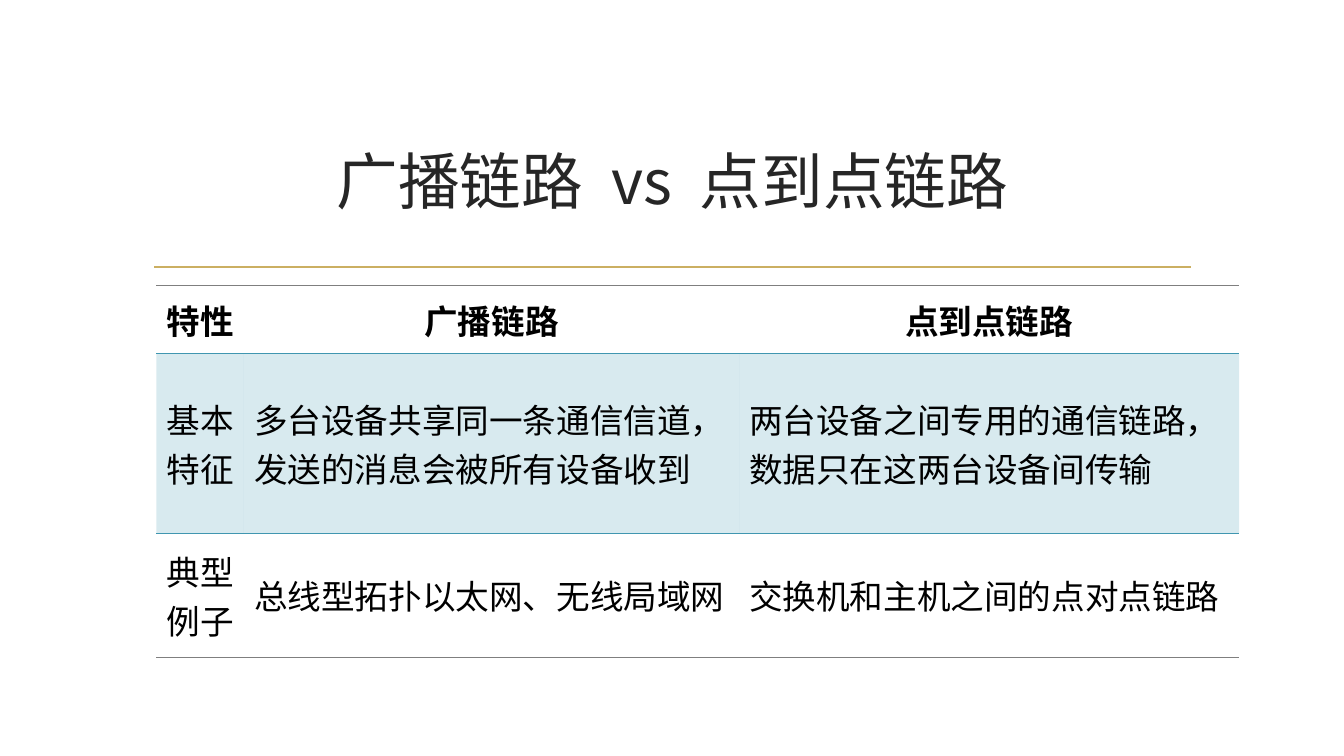
from lxml.etree import SubElement
from pptx import Presentation
from pptx.dml.color import RGBColor
from pptx.enum.shapes import MSO_CONNECTOR
from pptx.enum.text import MSO_ANCHOR, PP_ALIGN
from pptx.oxml.ns import qn
from pptx.util import Inches, Pt

COLORS = {
    "title": "262626",
    "text": "000000",
    "gold": "CBAF62",
    "teal": "4096B0",
    "gray": "7F7F7F",
}
CJK_FONT = "Noto Sans CJK SC"
LATIN_FONT = "Roboto"
PLAIN_TABLE_STYLE = "{2D5ABB26-0587-4C30-8999-92F81FD0307C}"
COLUMN_WIDTHS = [0.87, 4.91, 4.96]
ROW_HEIGHTS = [0.68, 1.78, 1.23]
LINK_ROWS = [
    ["特性", "广播链路", "点到点链路"],
    ["基本特征", "多台设备共享同一条通信信道，发送的消息会被所有设备收到",
     "两台设备之间专用的通信链路，数据只在这两台设备间传输"],
    ["典型例子", "总线型拓扑以太网、无线局域网", "交换机和主机之间的点对点链路"],
]
TITLE_RUNS = [("广播链路", 0), (" ", 10), ("vs", 0), (" ", 10), ("点到点链路", 0)]


class SlideBuilder:
    def __init__(self, slide):
        self.slide = slide

    def add_run(self, paragraph, text, size, color, font, bold=False, spacing=0):
        run = paragraph.add_run()
        run.text = text
        run.font.size = Pt(size)
        run.font.bold = bold
        run.font.name = font
        run.font.color.rgb = RGBColor.from_string(COLORS[color])
        properties = run.font._element
        SubElement(properties, qn("a:ea")).set("typeface", CJK_FONT)
        if spacing:
            properties.set("spc", str(spacing * 100))

    def add_line(self, left, top, right, bottom, color, width):
        line = self.slide.shapes.add_connector(
            MSO_CONNECTOR.STRAIGHT,
            Inches(left), Inches(top), Inches(right), Inches(bottom))
        line.line.color.rgb = RGBColor.from_string(COLORS[color])
        line.line.width = Pt(width)
        SubElement(line._element.spPr, qn("a:effectLst"))

    def add_title(self, left, top, width, height, runs):
        shape = self.slide.shapes.add_textbox(
            Inches(left), Inches(top), Inches(width), Inches(height))
        frame = shape.text_frame
        frame.word_wrap = True
        frame.vertical_anchor = MSO_ANCHOR.MIDDLE
        paragraph = frame.paragraphs[0]
        paragraph.alignment = PP_ALIGN.CENTER
        for text, spacing in runs:
            self.add_run(paragraph, text, 44, "title", CJK_FONT, spacing=spacing)

    def set_border(self, properties, side, color, width):
        border = SubElement(properties, qn(f"a:{side}"), w=str(Pt(width)))
        fill = SubElement(border, qn("a:solidFill"))
        SubElement(fill, qn("a:srgbClr"), val=COLORS[color])

    def set_cell(self, cell, text, row, column):
        header = row == 0
        cell.vertical_anchor = MSO_ANCHOR.MIDDLE
        paragraph = cell.text_frame.paragraphs[0]
        centered = header or column == 0
        paragraph.alignment = PP_ALIGN.CENTER if centered else PP_ALIGN.LEFT
        self.add_run(paragraph, text, 24, "text", LATIN_FONT, bold=header)
        properties = cell._tc.get_or_add_tcPr()
        if header:
            self.set_border(properties, "lnT", "gray", 1)
        if row < 2:
            self.set_border(properties, "lnB" if header else "lnT", "teal", 1)
        else:
            self.set_border(properties, "lnB", "gray", 1)
        if row == 1:
            cell.fill.solid()
            cell.fill.fore_color.rgb = RGBColor.from_string(COLORS["teal"])
            color = properties.find(qn("a:solidFill")).find(qn("a:srgbClr"))
            SubElement(color, qn("a:alpha"), val="20000")
        else:
            cell.fill.background()

    def add_table(self, left, top, widths, heights, rows):
        frame = self.slide.shapes.add_table(
            len(rows), len(widths), Inches(left), Inches(top),
            Inches(sum(widths)), Inches(sum(heights)))
        table = frame.table
        table.horz_banding = False
        table._tbl.tblPr.find(qn("a:tableStyleId")).text = PLAIN_TABLE_STYLE
        for column, width in zip(table.columns, widths):
            column.width = Inches(width)
        for row, height in zip(table.rows, heights):
            row.height = Inches(height)
        for row, texts in enumerate(rows):
            for column, text in enumerate(texts):
                self.set_cell(table.cell(row, column), text, row, column)


def main():
    presentation = Presentation()
    presentation.slide_width = Inches(13.33)
    presentation.slide_height = Inches(7.5)
    slide = presentation.slides.add_slide(presentation.slide_layouts[6])
    builder = SlideBuilder(slide)
    builder.add_line(1.53, 2.65, 11.81, 2.65, "gold", 1.25)
    builder.add_title(1.42, 1.07, 10.5, 1.43, TITLE_RUNS)
    builder.add_table(1.55, 2.83, COLUMN_WIDTHS, ROW_HEIGHTS, LINK_ROWS)
    presentation.save("out.pptx")


if __name__ == "__main__":
    main()
